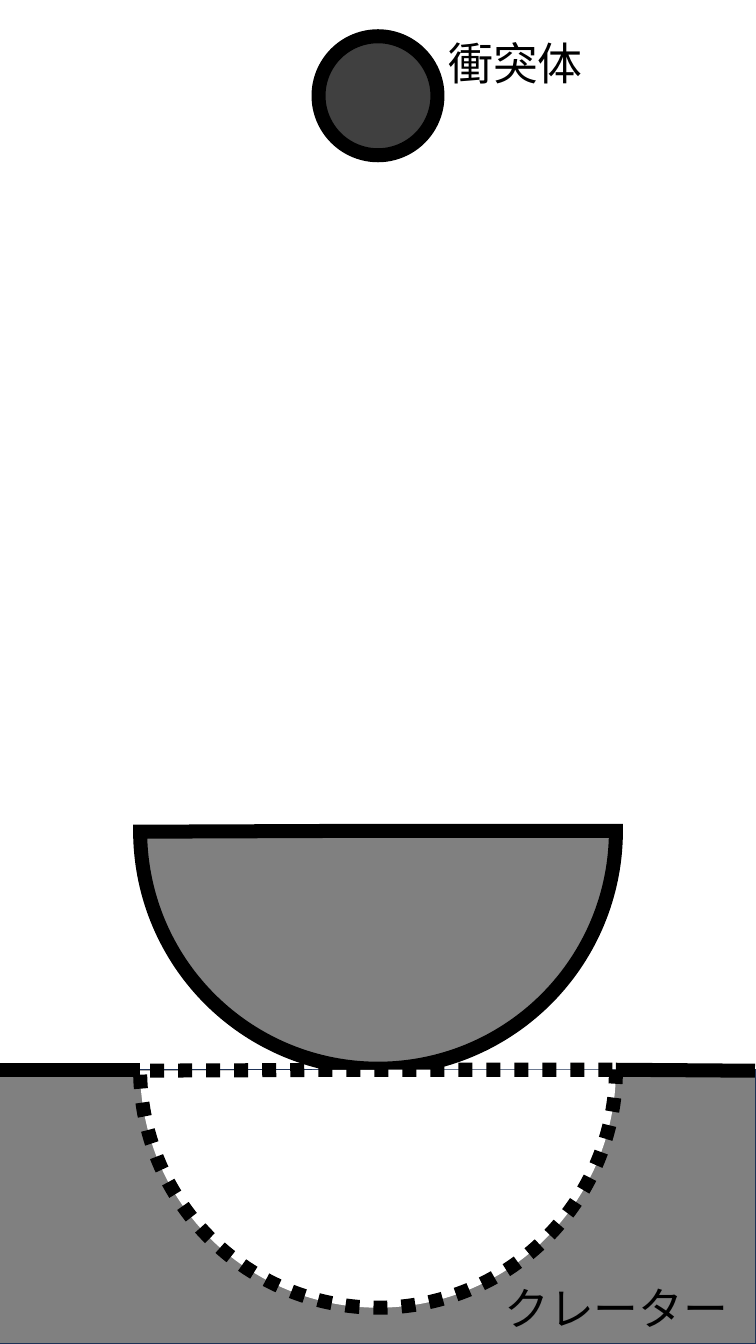
from dataclasses import dataclass

from pptx import Presentation
from pptx.dml.color import RGBColor
from pptx.dml.line import LineFormat
from pptx.enum.dml import MSO_LINE
from pptx.enum.shapes import MSO_CONNECTOR, MSO_SHAPE
from pptx.enum.text import MSO_AUTO_SIZE, PP_ALIGN
from pptx.oxml.ns import qn
from pptx.slide import Slide
from pptx.util import Inches, Pt
from lxml.etree import SubElement

COLORS = {
    "outline": "000000",
    "ground": "808080",
    "ground_edge": "1E3256",
    "impactor": "404040",
    "cavity": "FFFFFF",
}
FONT = "Noto Sans CJK JP"
WIDTH, HEIGHT = 7.5, 13.33
SURFACE = 10.61
CRATER_LEFT, CRATER_SIZE = 1.39, 4.72
CRATER_RIGHT = CRATER_LEFT + CRATER_SIZE
HALF_CIRCLE = (0, 107.87)


@dataclass(frozen=True)
class Body:
    geometry: MSO_SHAPE
    left: float
    top: float
    width: float
    height: float
    fill: str
    outline: str = "outline"
    weight: float = 10
    angles: tuple[float, ...] = ()
    dash: MSO_LINE | None = None


@dataclass(frozen=True)
class SurfaceLine:
    start: float
    end: float
    end_y: float


@dataclass(frozen=True)
class Label:
    text: str
    left: float
    top: float
    width: float


GROUND = Body(MSO_SHAPE.RECTANGLE, 0, SURFACE, WIDTH, HEIGHT - SURFACE,
              "ground", "ground_edge", 0)
EJECTED = Body(MSO_SHAPE.PIE, CRATER_LEFT, 5.88, CRATER_SIZE, CRATER_SIZE,
               "ground", angles=HALF_CIRCLE)
IMPACTOR = Body(MSO_SHAPE.OVAL, 3.16, 0.36, 1.18, 1.18, "impactor")
CAVITY = Body(MSO_SHAPE.PIE, CRATER_LEFT, 8.25, CRATER_SIZE, CRATER_SIZE,
              "cavity", angles=HALF_CIRCLE, dash=MSO_LINE.ROUND_DOT)
SURFACE_LINES = [
    SurfaceLine(CRATER_RIGHT, 7.49, 10.62),
    SurfaceLine(0, CRATER_LEFT, SURFACE),
]
LABELS = [
    Label("衝突体", 4.34, 0.31, 1.55),
    Label("クレーター", 4.89, 12.65, 2.45),
]


def rgb(name: str) -> RGBColor:
    return RGBColor.from_string(COLORS[name])


def style_line(line: LineFormat, color: str, weight: float) -> None:
    line.color.rgb = rgb(color)
    line.width = Pt(weight)


def draw_body(slide: Slide, body: Body) -> None:
    shape = slide.shapes.add_shape(
        body.geometry, Inches(body.left), Inches(body.top),
        Inches(body.width), Inches(body.height))
    shape.shadow.inherit = False
    for index, angle in enumerate(body.angles):
        shape.adjustments[index] = angle
    shape.fill.solid()
    shape.fill.fore_color.rgb = rgb(body.fill)
    style_line(shape.line, body.outline, body.weight)
    if body.dash is not None:
        shape.line.dash_style = body.dash
    outline = shape._element.spPr.find(qn("a:ln"))
    SubElement(outline, qn("a:miter"), lim="800000")


def draw_surface(slide: Slide, surface: SurfaceLine) -> None:
    connector = slide.shapes.add_connector(
        MSO_CONNECTOR.STRAIGHT, Inches(surface.start), Inches(SURFACE),
        Inches(surface.end), Inches(surface.end_y))
    style_line(connector.line, "outline", 10)
    SubElement(connector._element.spPr, qn("a:effectLst"))


def draw_label(slide: Slide, label: Label) -> None:
    box = slide.shapes.add_textbox(
        Inches(label.left), Inches(label.top), Inches(label.width), Inches(0.64))
    frame = box.text_frame
    frame.word_wrap = False
    frame.auto_size = MSO_AUTO_SIZE.SHAPE_TO_FIT_TEXT
    paragraph = frame.paragraphs[0]
    paragraph.text = label.text
    paragraph.alignment = PP_ALIGN.CENTER
    paragraph.font.size = Pt(32)
    paragraph.font.color.rgb = rgb("outline")
    paragraph.font.name = FONT
    defaults = paragraph._p.pPr.find(qn("a:defRPr"))
    SubElement(defaults, qn("a:ea"), typeface=FONT)


def main() -> None:
    presentation = Presentation()
    presentation.slide_width = Inches(WIDTH)
    presentation.slide_height = Inches(HEIGHT)
    slide = presentation.slides.add_slide(presentation.slide_layouts[6])

    draw_body(slide, GROUND)
    draw_body(slide, EJECTED)
    for surface in SURFACE_LINES:
        draw_surface(slide, surface)
    draw_body(slide, IMPACTOR)
    for label in LABELS:
        draw_label(slide, label)
    draw_body(slide, CAVITY)

    presentation.save("out.pptx")


if __name__ == "__main__":
    main()
